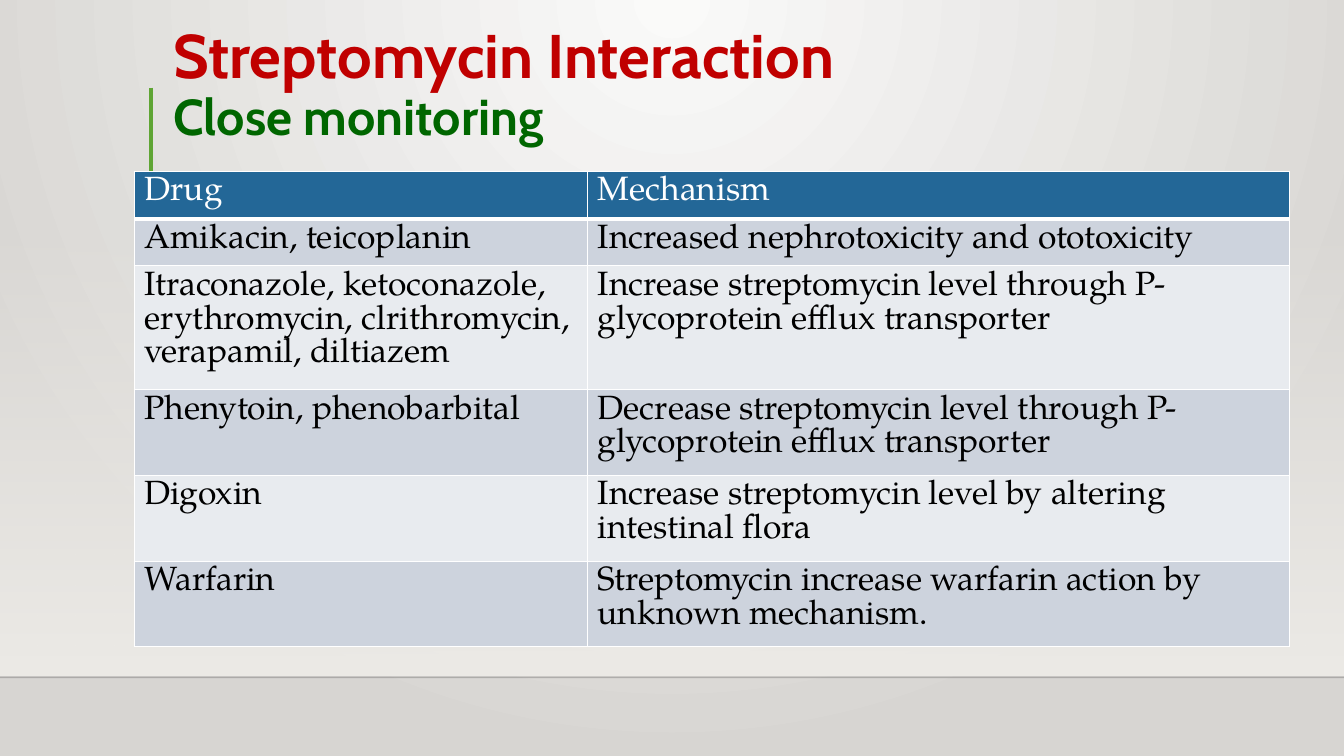
"""Build the streptomycin interaction slide with its drug and mechanism table."""

from dataclasses import dataclass

from lxml.etree import SubElement
from pptx import Presentation
from pptx.dml.color import RGBColor
from pptx.dml.fill import FillFormat
from pptx.enum.shapes import MSO_CONNECTOR, MSO_SHAPE
from pptx.enum.text import MSO_ANCHOR
from pptx.oxml import parse_xml
from pptx.oxml.ns import nsdecls, qn
from pptx.slide import Slide
from pptx.table import _Cell
from pptx.text.text import _Paragraph
from pptx.util import Cm, Pt

WHITE = RGBColor(0xFF, 0xFF, 0xFF)
BLACK = RGBColor(0, 0, 0)
RED = RGBColor(0xC0, 0, 0)
DARK_GREEN = RGBColor(0, 0x66, 0)
ACCENT_GREEN = RGBColor(0x5F, 0xA5, 0x34)
HEADER_BLUE = RGBColor(0x23, 0x67, 0x97)
BAND_DARK = RGBColor(0xCD, 0xD3, 0xDD)
BAND_LIGHT = RGBColor(0xE8, 0xEB, 0xEF)
BACKDROP_LIGHT = RGBColor(0xFA, 0xFA, 0xF9)
BACKDROP_DARK = RGBColor(0xD7, 0xD5, 0xD2)
WALL = RGBColor(0xED, 0xEB, 0xE7)
FLOOR_EDGE = RGBColor(0, 0, 1)

SLIDE_WIDTH = Cm(33.87)
SLIDE_HEIGHT = Cm(19.05)
TITLE_FONT = "Cabin"
TABLE_FONT = "TeX Gyre Pagella"
COLUMN_WIDTHS = (Cm(11.43), Cm(17.68))


@dataclass
class Rule:
    start: tuple[int, int]
    end: tuple[int, int]
    color: RGBColor
    width: float
    opacity: int = 100


@dataclass
class Interaction:
    drug: str
    mechanism: str
    height: int


RULES = (
    Rule((0, Cm(17.07)), (SLIDE_WIDTH, Cm(17.07)), FLOOR_EDGE, 1, 20),
    Rule((Cm(3.81), Cm(2.21)), (Cm(3.81), Cm(5.18)), ACCENT_GREEN, 3),
)

INTERACTIONS = (
    Interaction("Drug", "Mechanism", Cm(1.19)),
    Interaction("Amikacin, teicoplanin", "Increased nephrotoxicity and ototoxicity", Cm(1.19)),
    Interaction(
        "Itraconazole, ketoconazole, erythromycin, clrithromycin, verapamil, diltiazem",
        "Increase streptomycin level through P-glycoprotein efflux transporter",
        Cm(3.12),
    ),
    Interaction(
        "Phenytoin, phenobarbital",
        "Decrease streptomycin level through P-glycoprotein efflux transporter",
        Cm(2.16),
    ),
    Interaction("Digoxin", "Increase streptomycin level by altering intestinal flora", Cm(2.16)),
    Interaction(
        "Warfarin", "Streptomycin increase warfarin action by unknown mechanism.", Cm(2.16)
    ),
)


def set_gradient(fill: FillFormat, first: RGBColor, last: RGBColor) -> None:
    fill.gradient()
    fill.gradient_angle = 270
    for stop, color, position in zip(fill.gradient_stops, (first, last), (0, 1)):
        stop.color.rgb = color
        stop.position = position


def add_run(
    paragraph: _Paragraph, text: str, font: str, size: int, color: RGBColor, bold: bool = False
) -> None:
    run = paragraph.add_run()
    run.text = text
    run.font.name = font
    run.font.size = Pt(size)
    run.font.bold = bold
    run.font.color.rgb = color


def paint_backdrop(slide: Slide) -> None:
    set_gradient(slide.background.fill, BACKDROP_LIGHT, BACKDROP_DARK)
    gradient = next(slide.element.iter(qn("a:gradFill")))
    gradient.replace(
        gradient.find(qn("a:lin")),
        parse_xml(
            f'<a:path {nsdecls("a")} path="circle">'
            '<a:fillToRect l="43000" t="0" r="43000" b="100000"/></a:path>'
        ),
    )


def add_wall(slide: Slide) -> None:
    wall = slide.shapes.add_shape(MSO_SHAPE.RECTANGLE, 0, Cm(5.59), SLIDE_WIDTH, Cm(11.43))
    wall.shadow.inherit = False
    wall.line.fill.background()
    set_gradient(wall.fill, WALL, WALL)
    clear_color = next(wall.element.spPr.iter(qn("a:srgbClr")))
    SubElement(clear_color, qn("a:alpha"), val="0")


def add_rule(slide: Slide, rule: Rule) -> None:
    connector = slide.shapes.add_connector(MSO_CONNECTOR.STRAIGHT, *rule.start, *rule.end)
    connector.line.color.rgb = rule.color
    connector.line.width = Pt(rule.width)
    properties = connector.element.spPr
    if rule.opacity < 100:
        color = next(properties.iter(qn("a:srgbClr")))
        SubElement(color, qn("a:alpha"), val=str(rule.opacity * 1000))
    SubElement(properties, qn("a:effectLst"))


def fill_title(slide: Slide) -> None:
    title = slide.shapes.title
    title.left, title.top = Cm(4.11), Cm(0.89)
    title.width, title.height = Cm(26.44), Cm(2.92)
    frame = title.text_frame
    frame.word_wrap = True
    frame.vertical_anchor = MSO_ANCHOR.BOTTOM
    paragraph = frame.paragraphs[0]
    paragraph.alignment = 1
    paragraph.line_spacing = 0.9
    add_run(paragraph, "Streptomycin Interaction", TITLE_FONT, 44, RED, True)
    paragraph.add_line_break()
    add_run(paragraph, "Close monitoring", TITLE_FONT, 36, DARK_GREEN, True)


def set_borders(cell: _Cell, top: int, bottom: int) -> None:
    properties = cell._tc.get_or_add_tcPr()
    widths = {"lnL": 1, "lnR": 1, "lnT": top, "lnB": bottom}
    for index, (side, width) in enumerate(widths.items()):
        border = parse_xml(
            f'<a:{side} {nsdecls("a")} w="{Pt(width)}"><a:solidFill>'
            f'<a:srgbClr val="{WHITE}"/></a:solidFill></a:{side}>'
        )
        properties.insert(index, border)


def add_interaction_table(slide: Slide) -> None:
    table = slide.shapes.add_table(
        len(INTERACTIONS),
        len(COLUMN_WIDTHS),
        Cm(3.38),
        Cm(4.32),
        sum(COLUMN_WIDTHS),
        sum(interaction.height for interaction in INTERACTIONS),
    ).table
    for column, width in zip(table.columns, COLUMN_WIDTHS):
        column.width = width
    for index, interaction in enumerate(INTERACTIONS):
        row = table.rows[index]
        row.height = interaction.height
        is_header = index == 0
        band = BAND_DARK if index % 2 else BAND_LIGHT
        for cell, text in zip(row.cells, (interaction.drug, interaction.mechanism)):
            cell.fill.solid()
            cell.fill.fore_color.rgb = HEADER_BLUE if is_header else band
            set_borders(cell, 3 if index == 1 else 1, 3 if is_header else 1)
            paragraph = cell.text_frame.paragraphs[0]
            add_run(paragraph, text, TABLE_FONT, 24, WHITE if is_header else BLACK)


def main() -> None:
    presentation = Presentation()
    presentation.slide_width = SLIDE_WIDTH
    presentation.slide_height = SLIDE_HEIGHT
    slide = presentation.slides.add_slide(presentation.slide_layouts[5])
    paint_backdrop(slide)
    add_wall(slide)
    for rule in RULES:
        add_rule(slide, rule)
    fill_title(slide)
    add_interaction_table(slide)
    presentation.save("out.pptx")


if __name__ == "__main__":
    main()
